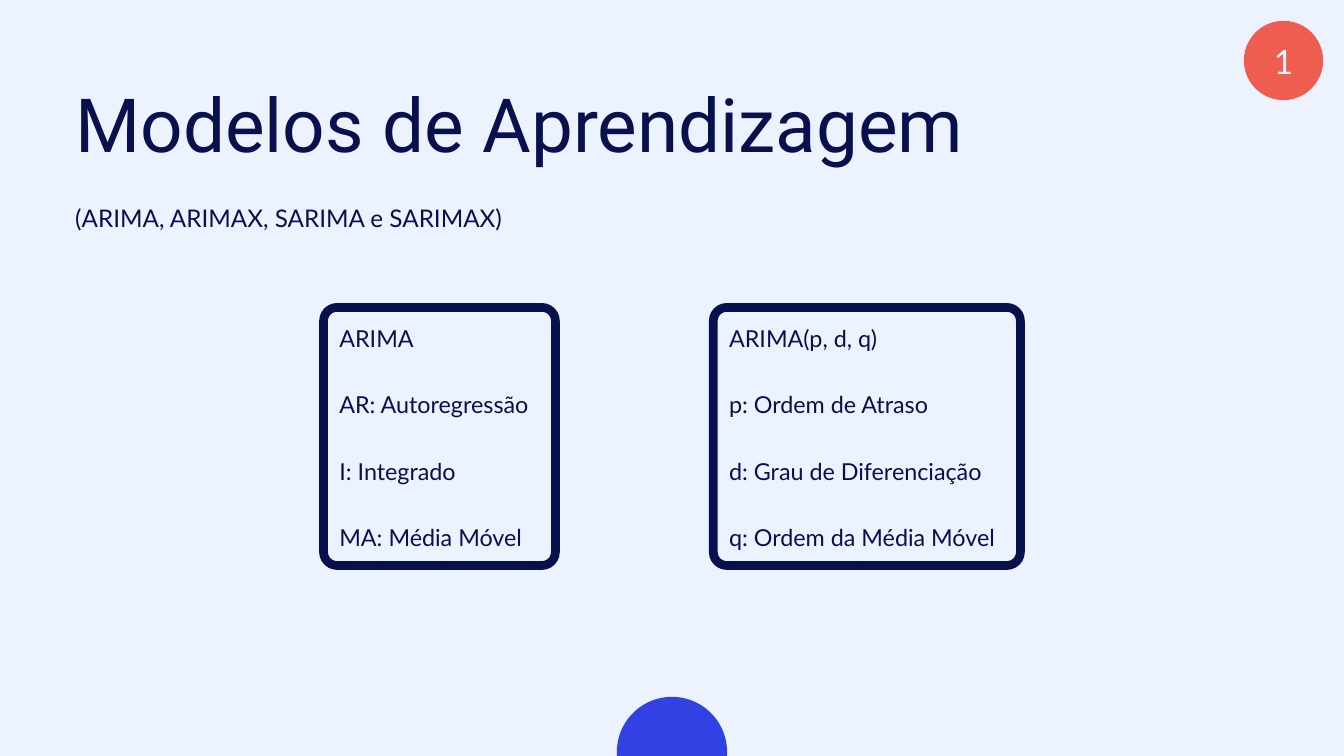
import math

import pptx
import pptx.dml.color
import pptx.enum.shapes
import pptx.enum.text
import pptx.oxml
import pptx.util
from pptx.util import Inches

RGBColor = pptx.dml.color.RGBColor
PALE = RGBColor(0xEC, 0xF2, 0xFE)
NAVY = RGBColor(0x08, 0x10, 0x4D)
BLUE = RGBColor(0x32, 0x41, 0xE4)
CORAL = RGBColor(0xEF, 0x5D, 0x50)
ALIGN = pptx.enum.text.PP_ALIGN
ANCHOR = pptx.enum.text.MSO_ANCHOR
SHAPE = pptx.enum.shapes.MSO_SHAPE


def place(box, left, top, width, height):
    sides = {"left": left, "top": top, "width": width, "height": height}
    for name, value in sides.items():
        setattr(box, name, Inches(value))


def write(box, lines, font, size, leading, color=NAVY, gap=0,
          align=ALIGN.LEFT, anchor=ANCHOR.TOP):
    frame = box.text_frame
    frame_format = {
        "margin_left": 0, "margin_top": 0, "margin_right": 0, "margin_bottom": 0,
        "word_wrap": True, "vertical_anchor": anchor,
        "auto_size": pptx.enum.text.MSO_AUTO_SIZE.NONE,
    }
    for name, value in frame_format.items():
        setattr(frame, name, value)
    for index, line in enumerate(lines):
        para = frame.paragraphs[0] if index == 0 else frame.add_paragraph()
        para_format = {
            "alignment": align, "line_spacing": pptx.util.Pt(leading),
            "space_before": pptx.util.Pt(gap if index else 0),
            "space_after": pptx.util.Pt(0),
        }
        for name, value in para_format.items():
            setattr(para, name, value)
        span = para.add_run()
        span.text = line
        for name, value in {"name": font, "size": pptx.util.Pt(size)}.items():
            setattr(span.font, name, value)
        span.font.color.rgb = color


# Page with a title and two lists
deck = pptx.Presentation()
deck.slide_width, deck.slide_height = Inches(20), Inches(11.25)
page = deck.slides.add_slide(deck.slide_layouts.get_by_name("Two Content"))
page.background.fill.solid()
page.background.fill.fore_color.rgb = PALE
title, *lists = list(page.placeholders)[:3]

# Half disc resting on the bottom edge
center_x, center_y, radius, bottom = 10, 11.19, 0.82, 11.25
start = -math.asin((bottom - center_y) / radius)
steps = 90
angles = [start + (math.pi - 2 * start) * step / steps for step in range(steps + 1)]
points = [(Inches(center_x + radius * math.cos(angle)),
           Inches(center_y - radius * math.sin(angle))) for angle in angles]
outline = page.shapes.build_freeform(*points[0])
outline.add_line_segments(points[1:], close=True)
half_disc = outline.convert_to_shape()
half_disc.shadow.inherit = False
half_disc.fill.solid()
half_disc.fill.fore_color.rgb = BLUE
half_disc.line.fill.background()

# Title and subtitle
place(title, 1.12, 1.09, 15.23, 1.36)
write(title, ["Modelos de Aprendizagem"], "Roboto", 80, 100.8)
subtitle = page.shapes.add_textbox(0, 0, 0, 0)
place(subtitle, 1.12, 2.94, 15.23, 0.48)
write(subtitle, ["(ARIMA, ARIMAX, SARIMA e SARIMAX)"], "Lato", 26, 36.9)

# Framed lists
border, corner, frame_top, frame_height = 0.13, 0.2, 4.51, 3.97
columns = [
    (4.75, 3.58, ["ARIMA", "AR: Autoregressão", "I: Integrado", "MA: Média Móvel"]),
    (10.55, 4.7, ["ARIMA(p, d, q)", "p: Ordem de Atraso",
                  "d: Grau de Diferenciação", "q: Ordem da Média Móvel"]),
]
for box, (left, width, lines) in zip(lists, columns):
    border_box = page.shapes.add_shape(SHAPE.ROUNDED_RECTANGLE, 0, 0, 0, 0)
    inner_width, inner_height = width - border, frame_height - border
    place(border_box, left + border / 2, frame_top + border / 2, inner_width, inner_height)
    border_box.adjustments[0] = corner / min(inner_width, inner_height)
    border_box.shadow.inherit = False
    border_box.fill.background()
    border_box.line.color.rgb = NAVY
    border_box.line.width = Inches(border)

    place(box, left + 0.3, 4.75, width - 0.58, 3.39)
    write(box, lines, "Lato", 25, 35.5, gap=35.5)
    for para in box.text_frame.paragraphs:
        properties = para._p.get_or_add_pPr()
        properties.set("marL", "0")
        properties.set("indent", "0")
        properties.append(pptx.oxml.parse_xml(
            '<a:buNone xmlns:a="http://schemas.openxmlformats.org/drawingml/2006/main"/>'))

# Page number badge
badge = page.shapes.add_shape(SHAPE.OVAL, 0, 0, 0, 0)
place(badge, 18.51, 0.31, 1.18, 1.18)
badge.shadow.inherit = False
badge.fill.solid()
badge.fill.fore_color.rgb = CORAL
badge.line.fill.background()
write(badge, ["1"], "Lato", 36, 45.4, PALE, align=ALIGN.CENTER, anchor=ANCHOR.MIDDLE)

# Unused date, footer and number placeholders
for holder in list(page.placeholders):
    if not holder.text_frame.text:
        holder.element.getparent().remove(holder.element)

deck.save("out.pptx")
